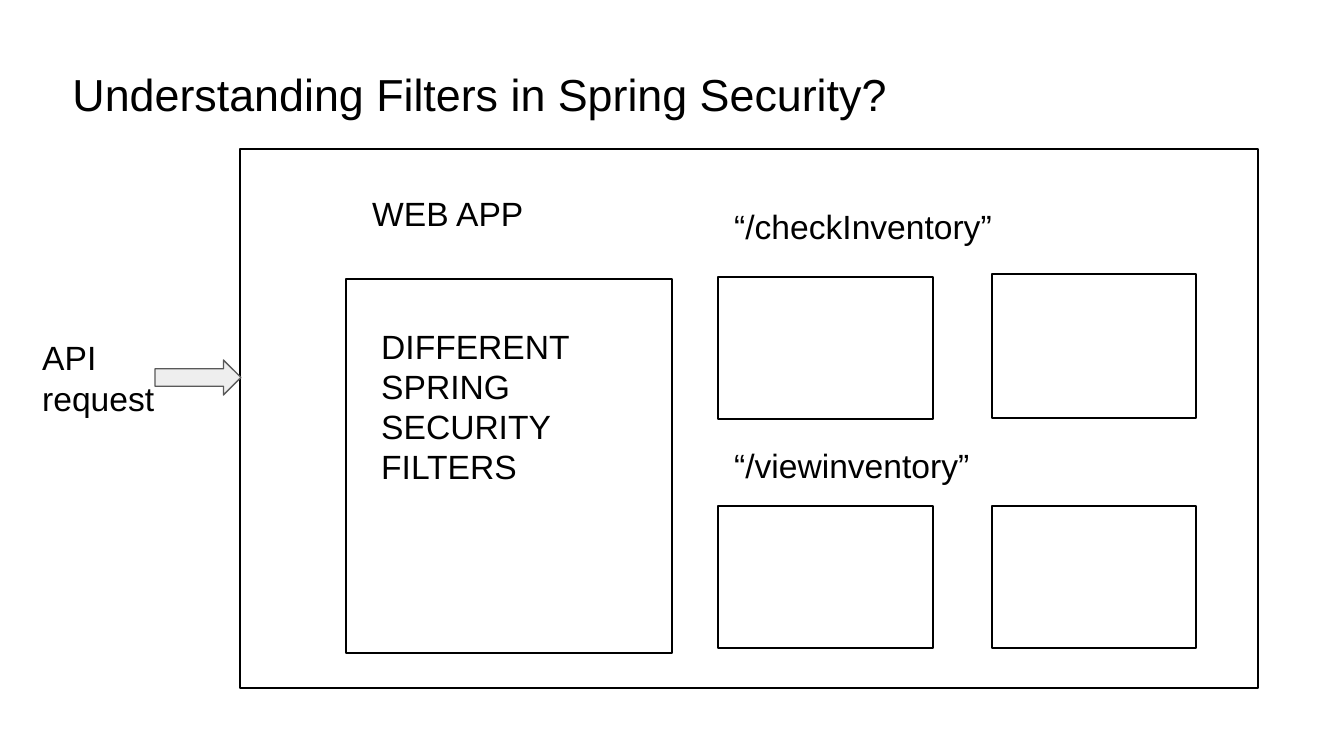
from dataclasses import dataclass

import pptx
import pptx.dml.color
import pptx.enum.shapes
import pptx.enum.text
import pptx.util

EMU_PER_PX = 914400 / 134.4
FONT = "Arial"
INK = "000000"
PAPER = "FFFFFF"
RECT = pptx.enum.shapes.MSO_SHAPE.RECTANGLE
ARROW = pptx.enum.shapes.MSO_SHAPE.RIGHT_ARROW
TOP = pptx.enum.text.MSO_ANCHOR.TOP
MIDDLE = pptx.enum.text.MSO_ANCHOR.MIDDLE


@dataclass
class Box:
    x: int
    y: int
    w: int
    h: int
    kind: int = RECT
    fill: str = PAPER
    line: str = INK


@dataclass
class Label:
    x: int
    y: int
    w: int
    h: int
    text: str


def px(n: int) -> int:
    return pptx.util.Emu(round(n * EMU_PER_PX))


def rgb(value: str) -> pptx.dml.color.RGBColor:
    return pptx.dml.color.RGBColor.from_string(value)


def write(tf, text: str, size: int, anchor) -> None:
    """Fill a text frame, one paragraph per line of text."""
    tf.word_wrap = True
    tf.vertical_anchor = anchor
    tf.margin_left = tf.margin_right = pptx.util.Inches(0.1)
    tf.margin_top = tf.margin_bottom = pptx.util.Inches(0.1)
    tf.text = text
    for p in tf.paragraphs:
        p.alignment = pptx.enum.text.PP_ALIGN.LEFT
        p.font.name = FONT
        p.font.size = pptx.util.Pt(size)
        p.font.color.rgb = rgb(INK)


def draw_box(s, box: Box) -> None:
    sp = s.shapes.add_shape(box.kind, px(box.x), px(box.y), px(box.w), px(box.h))
    sp.shadow.inherit = False
    sp.fill.solid()
    sp.fill.fore_color.rgb = rgb(box.fill)
    sp.line.color.rgb = rgb(box.line)
    sp.line.width = pptx.util.Pt(0.75)


def draw_label(s, label: Label) -> None:
    sp = s.shapes.add_textbox(px(label.x), px(label.y), px(label.w), px(label.h))
    write(sp.text_frame, label.text, 18, TOP)
    sp.text_frame.auto_size = pptx.enum.text.MSO_AUTO_SIZE.SHAPE_TO_FIT_TEXT


BOXES = [
    Box(240, 149, 1018, 539),  # web app
    Box(346, 279, 326, 374),  # security filters
    # Endpoint boxes, two per path
    Box(718, 277, 215, 142),
    Box(718, 506, 215, 142),
    Box(992, 274, 204, 144),
    Box(992, 506, 204, 142),
]
LABELS = [
    Label(359, 180, 204, 67, "WEB APP"),
    Label(721, 192, 568, 67, "“/checkInventory”"),
    Label(721, 432, 476, 67, "“/viewinventory”"),
    Label(368, 312, 282, 190, "DIFFERENT\nSPRING\nSECURITY\nFILTERS"),
    Label(29, 324, 163, 109, "API\nrequest"),
]
REQUEST_ARROW = Box(155, 360, 86, 35, ARROW, "EEEEEE", "595959")


def main() -> None:
    prs = pptx.Presentation()
    prs.slide_width, prs.slide_height = px(1344), px(756)
    s = prs.slides.add_slide(prs.slide_layouts[5])

    # Title
    title = s.shapes.title
    title.left, title.top, title.width, title.height = px(59), px(51), px(1253), px(85)
    write(title.text_frame, "Understanding Filters in Spring Security?", 24, MIDDLE)

    # Diagram
    for box in BOXES:
        draw_box(s, box)
    for label in LABELS:
        draw_label(s, label)
    draw_box(s, REQUEST_ARROW)

    prs.save("out.pptx")


if __name__ == "__main__":
    main()
